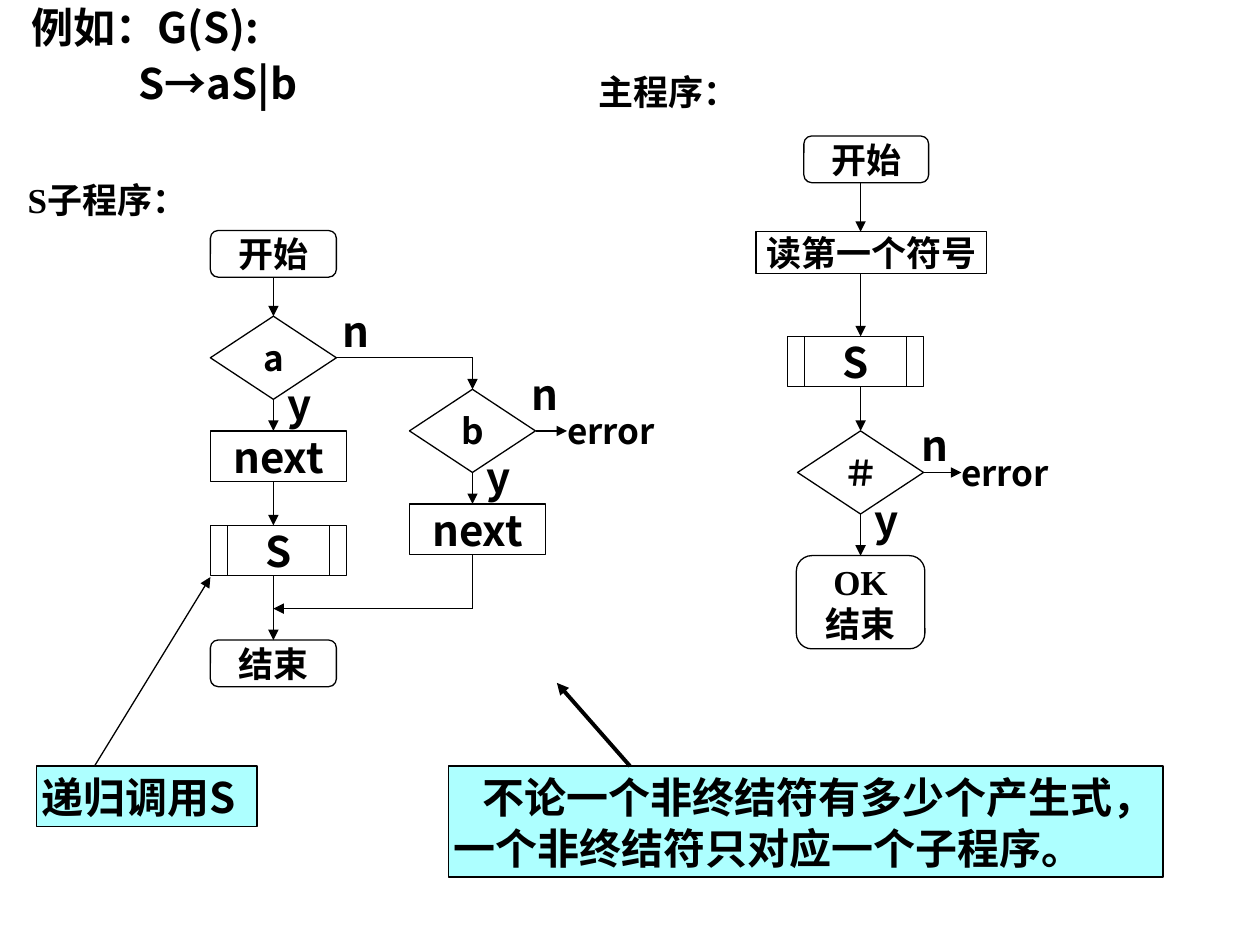
from dataclasses import dataclass

from pptx import Presentation
from pptx.dml.color import RGBColor
from pptx.enum.shapes import MSO_CONNECTOR, MSO_SHAPE
from pptx.enum.text import MSO_ANCHOR, PP_ALIGN
from pptx.oxml.ns import qn
from pptx.util import Inches, Pt
from lxml import etree


@dataclass(frozen=True)
class Theme:
    ink: RGBColor = RGBColor(0, 0, 0)
    callout: RGBColor = RGBColor(0xAD, 0xFF, 0xFF)
    sans: str = "Noto Sans CJK SC"
    serif: str = "Times New Roman"
    large: int = 24
    medium: int = 20
    thin: float = 0.75
    thick: float = 2.25


theme = Theme()
deck = Presentation()
deck.slide_width, deck.slide_height = Inches(10), Inches(7.5)
page = deck.slides.add_slide(deck.slide_layouts[6])


def write(box, lines, size, font=theme.sans, align=PP_ALIGN.LEFT, inset=0, leading=1.2):
    """Fill a shape with bold lines of text and return its paragraphs."""
    frame = box.text_frame
    frame.margin_left = frame.margin_right = Inches(inset)
    frame.margin_top = frame.margin_bottom = Inches(inset)
    for index, line in enumerate(lines):
        para = frame.paragraphs[0] if index == 0 else frame.add_paragraph()
        para.alignment = align
        para.line_spacing = Pt(round(size * leading))
        span = para.add_run()
        span.text = line
        span.font.size, span.font.bold = Pt(size), True
        span.font.name, span.font.color.rgb = font, theme.ink
        east_asian = etree.SubElement(span._r.get_or_add_rPr(), qn("a:ea"))
        east_asian.set("typeface", theme.sans)
    return frame.paragraphs


def add_box(kind, left, top, width, height, fill=None):
    """Draw an outlined shape, without a fill unless one is given."""
    box = page.shapes.add_shape(kind, Inches(left), Inches(top), Inches(width), Inches(height))
    box.shadow.inherit = False
    if fill is None:
        box.fill.background()
    else:
        box.fill.solid()
        box.fill.fore_color.rgb = fill
    box.line.color.rgb, box.line.width = theme.ink, Pt(theme.thin)
    box.text_frame.word_wrap = True
    return box


# Grammar heading
heading = page.shapes.add_textbox(0, 0, Inches(4.08), Inches(0.92))
heading.text_frame.word_wrap = True
grammar, rule = write(heading, ["例如：G(S):", "S→aS|b"], theme.large, leading=1.08)
heading.text_frame.margin_left = Inches(0.1)
heading.text_frame.margin_top = Inches(0.05)
grammar._p.get_or_add_pPr().set("indent", str(Inches(0.15)))
rule._p.get_or_add_pPr().set("marL", str(Inches(1)))
rule.space_before = Pt(6)

# Flowchart nodes: name, kind, left, top, width, height, lines, size, font
TERMINAL = MSO_SHAPE.FLOWCHART_ALTERNATE_PROCESS
DECISION = MSO_SHAPE.FLOWCHART_DECISION
PROCESS = MSO_SHAPE.FLOWCHART_PROCESS
CALL = MSO_SHAPE.FLOWCHART_PREDEFINED_PROCESS
nodes = {}
for name, kind, left, top, width, height, lines, size, font in [
    ("sub start", TERMINAL, 1.67, 1.83, 1, 0.37, ["开始"], theme.medium, theme.serif),
    ("is a", DECISION, 1.67, 2.51, 1, 0.66, ["a"], theme.medium, theme.sans),
    ("next after a", PROCESS, 1.67, 3.42, 1.08, 0.4, ["next"], theme.large, theme.sans),
    ("sub call", CALL, 1.67, 4.17, 1.08, 0.4, ["S"], theme.large, theme.sans),
    ("sub end", TERMINAL, 1.67, 5.08, 1, 0.37, ["结束"], theme.medium, theme.serif),
    ("is b", DECISION, 3.25, 3.09, 1, 0.66, ["b"], theme.medium, theme.sans),
    ("next after b", PROCESS, 3.25, 4, 1.08, 0.4, ["next"], theme.large, theme.sans),
    ("main start", TERMINAL, 6.38, 1.08, 0.99, 0.37, ["开始"], theme.medium, theme.serif),
    ("read", PROCESS, 6, 1.84, 1.83, 0.33, ["读第一个符号"], theme.medium, theme.sans),
    ("main call", CALL, 6.25, 2.67, 1.08, 0.4, ["S"], theme.large, theme.sans),
    ("is end mark", DECISION, 6.33, 3.42, 1, 0.66, ["＃"], theme.medium, theme.sans),
    ("main end", TERMINAL, 6.32, 4.41, 1.02, 0.74, ["OK", "结束"], theme.medium, theme.serif),
]:
    nodes[name] = add_box(kind, left, top, width, height)
    nodes[name].text_frame.vertical_anchor = MSO_ANCHOR.MIDDLE
    write(nodes[name], lines, size, font, PP_ALIGN.CENTER)

# Labels: name, left, top, width, height, text, size, font
for name, left, top, width, height, text, size, font in [
    ("sub title", 0.22, 1.42, 1.34, 0.33, "S子程序：", theme.medium, theme.serif),
    ("main title", 4.75, 0.56, 1.11, 0.33, "主程序：", theme.medium, theme.serif),
    ("sub error", 4.5, 3.25, 0.72, 0.34, "error", theme.medium, theme.sans),
    ("main error", 7.63, 3.58, 0.72, 0.34, "error", theme.medium, theme.sans),
    ("a yes", 2.28, 3, 0.19, 0.4, "y", theme.large, theme.sans),
    ("a no", 2.72, 2.42, 0.22, 0.4, "n", theme.large, theme.sans),
    ("b yes", 3.86, 3.58, 0.19, 0.4, "y", theme.large, theme.sans),
    ("b no", 4.22, 2.92, 0.22, 0.4, "n", theme.large, theme.sans),
    ("mark yes", 6.94, 3.92, 0.19, 0.4, "y", theme.large, theme.sans),
    ("mark no", 7.31, 3.33, 0.22, 0.4, "n", theme.large, theme.sans),
]:
    nodes[name] = page.shapes.add_textbox(Inches(left), Inches(top), Inches(width), Inches(height))
    nodes[name].text_frame.word_wrap = False
    write(nodes[name], [text], size, font)

# Callouts
recursion = add_box(MSO_SHAPE.RECTANGLE, 0.29, 6.08, 1.75, 0.48, theme.callout)
recursion.text_frame.vertical_anchor = MSO_ANCHOR.TOP
write(recursion, ["递归调用S"], theme.large, inset=0.04)
recursion.text_frame.margin_right = 0

summary = add_box(MSO_SHAPE.RECTANGLE, 3.56, 6.08, 5.67, 0.88, theme.callout)
summary.text_frame.vertical_anchor = MSO_ANCHOR.TOP
opening, closing = write(
    summary, ["不论一个非终结符有多少个产生式，", "一个非终结符只对应一个子程序。"], theme.large, inset=0.04)
summary.text_frame.margin_right = 0
opening._p.get_or_add_pPr().set("indent", str(Inches(0.23)))

# Lines: start, end, joined start, joined end, arrowhead, width
TOP, LEFT, BOTTOM, RIGHT = range(4)
for start, end, source, target, arrow, weight in [
    ((2.17, 2.2), (2.17, 2.51), ("sub start", BOTTOM), ("is a", TOP), True, theme.thin),
    ((2.17, 3.17), (2.17, 3.42), ("is a", BOTTOM), None, True, theme.thin),
    ((2.17, 3.82), (2.17, 4.17), None, None, True, theme.thin),
    ((2.17, 4.57), (2.17, 5.08), None, ("sub end", TOP), True, theme.thin),
    ((2.67, 2.84), (3.75, 2.84), ("is a", RIGHT), None, False, theme.thin),
    ((3.75, 2.84), (3.75, 3.09), None, ("is b", TOP), True, theme.thin),
    ((3.75, 3.75), (3.75, 4), ("is b", BOTTOM), None, True, theme.thin),
    ((4.25, 3.42), (4.5, 3.42), ("is b", RIGHT), ("sub error", LEFT), True, theme.thin),
    ((3.75, 4.4), (3.75, 4.83), None, None, False, theme.thin),
    ((3.75, 4.83), (2.17, 4.83), None, None, True, theme.thin),
    ((6.83, 1.45), (6.83, 1.84), None, None, True, theme.thin),
    ((6.83, 2.17), (6.83, 2.67), None, None, True, theme.thin),
    ((6.83, 3.07), (6.83, 3.42), None, ("is end mark", TOP), True, theme.thin),
    ((6.83, 4.08), (6.83, 4.41), ("is end mark", BOTTOM), ("main end", TOP), True, theme.thin),
    ((7.33, 3.75), (7.63, 3.75), ("is end mark", RIGHT), ("main error", LEFT), True, theme.thin),
    ((0.75, 6.08), (1.67, 4.58), None, None, True, theme.thin),
    ((5, 6.08), (4.42, 5.42), None, None, True, theme.thick),
]:
    line = page.shapes.add_connector(
        MSO_CONNECTOR.STRAIGHT, *(Inches(value) for value in start + end))
    if source:
        line.begin_connect(nodes[source[0]], source[1])
    if target:
        line.end_connect(nodes[target[0]], target[1])
    line.line.color.rgb, line.line.width = theme.ink, Pt(weight)
    if arrow:
        etree.SubElement(line.line._get_or_add_ln(), qn("a:tailEnd")).set("type", "triangle")
    etree.SubElement(line._element.spPr, qn("a:effectLst"))

deck.save("out.pptx")
